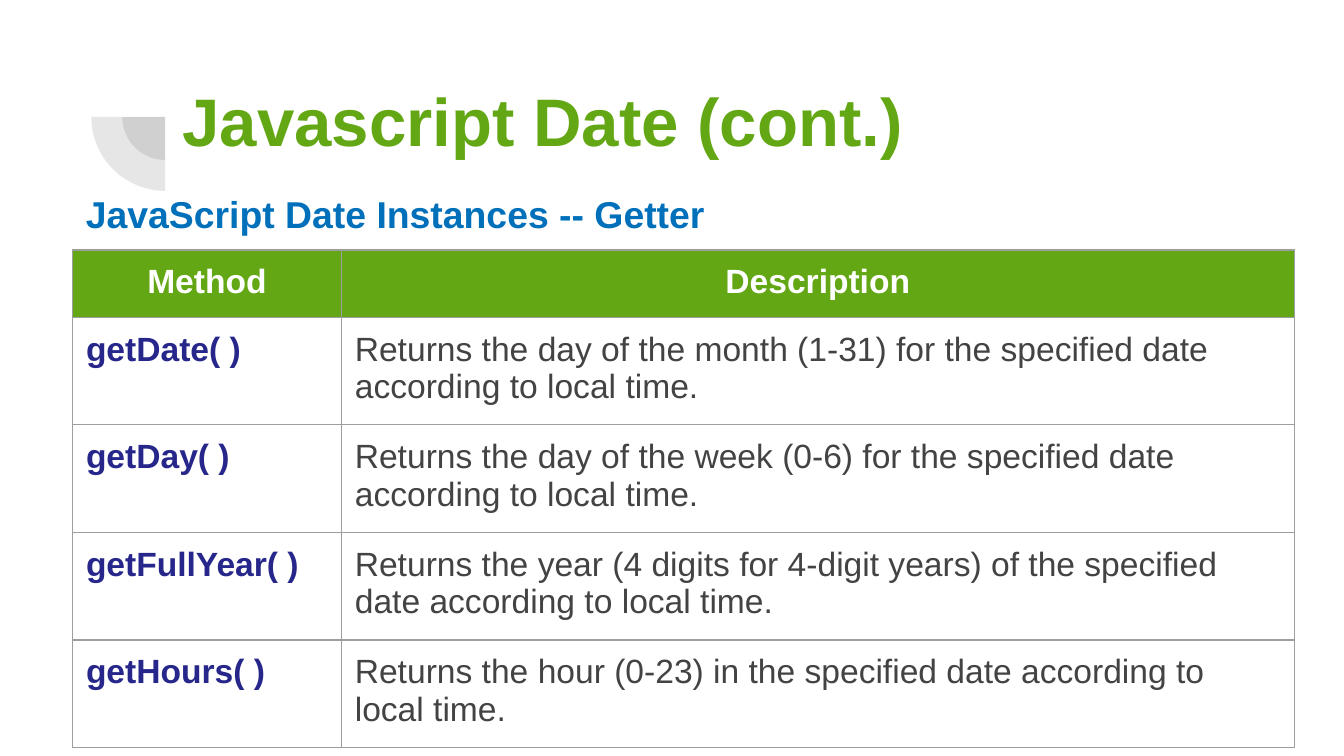
from lxml.etree import SubElement
from pptx import Presentation
from pptx.dml.color import RGBColor
from pptx.enum.shapes import MSO_SHAPE
from pptx.enum.text import PP_ALIGN
from pptx.oxml.ns import qn
from pptx.util import Inches, Pt

GREEN = "63A814"
BLUE = "0170BA"
NAVY = "27278B"
GRAY = "434343"
WHITE = "FFFFFF"
BORDER = "9E9E9E"

GETTERS = [
    ("getDate( )", "Returns the day of the month (1-31) for the specified date according to local time."),
    ("getDay( )", "Returns the day of the week (0-6) for the specified date according to local time."),
    ("getFullYear( )", "Returns the year (4 digits for 4-digit years) of the specified date according to local time."),
    ("getHours( )", "Returns the hour (0-23) in the specified date according to local time."),
]


def rgb(color):
    """Turn a hex string into a colour."""
    return RGBColor.from_string(color)


def write(frame, text, size=18, color=GRAY, bold=False, align=PP_ALIGN.LEFT, spacing=None):
    """Write one formatted paragraph into a text frame."""
    frame.word_wrap = True
    paragraph = frame.paragraphs[0]
    paragraph.alignment = align
    paragraph.line_spacing = spacing
    run = paragraph.add_run()
    run.text = text
    run.font.name = "Arial"
    run.font.size = Pt(size)
    run.font.bold = bold
    run.font.color.rgb = rgb(color)


def add_heading(slide, text, left, top, width, height, **style):
    """Add a text box with even insets."""
    frame = slide.shapes.add_textbox(Inches(left), Inches(top), Inches(width), Inches(height)).text_frame
    frame.margin_left = frame.margin_right = Inches(0.1)
    frame.margin_top = frame.margin_bottom = Inches(0.1)
    write(frame, text, **style)


def add_quarter(slide, center_x, center_y, radius):
    """Add a translucent lower-left quarter disc."""
    quarter = slide.shapes.add_shape(
        MSO_SHAPE.PIE, Inches(center_x - radius), Inches(center_y - radius),
        Inches(2 * radius), Inches(2 * radius))
    quarter.rotation = 270
    quarter.adjustments[0] = 108
    quarter.adjustments[1] = 162
    quarter.shadow.inherit = False
    quarter.line.fill.background()
    quarter.fill.solid()
    quarter.fill.fore_color.rgb = rgb("424242")
    color = quarter.fill._xPr.find(qn("a:solidFill"))[0]
    SubElement(color, qn("a:alpha"), val="13000")


def add_borders(cell):
    """Draw a thin line on all four sides of a cell."""
    properties = cell._tc.get_or_add_tcPr()
    for position, side in enumerate(("a:lnL", "a:lnR", "a:lnT", "a:lnB")):
        line = SubElement(properties, qn(side), w=str(Pt(0.75)))
        fill = SubElement(line, qn("a:solidFill"))
        SubElement(fill, qn("a:srgbClr"), val=BORDER)
        properties.insert(position, line)


def fill_cell(cell, text, background=None, **style):
    """Write, fill and outline one table cell."""
    cell.margin_left = cell.margin_right = Inches(0.1)
    cell.margin_top = cell.margin_bottom = Inches(0.1)
    if background:
        cell.fill.solid()
        cell.fill.fore_color.rgb = rgb(background)
    else:
        cell.fill.background()
    add_borders(cell)
    write(cell.text_frame, text, **style)


def add_getter_table(slide):
    """Add the table of getter methods."""
    widths = (2, 7.09)
    heights = (0.5, 0.68, 0.43, 0.43, 0.43)
    table = slide.shapes.add_table(
        len(heights), len(widths), Inches(0.54), Inches(1.86),
        Inches(sum(widths)), Inches(sum(heights))).table
    table.first_row = table.horz_banding = False
    for column, width in zip(table.columns, widths):
        column.width = Inches(width)
    for row, height in zip(table.rows, heights):
        row.height = Inches(height)
    for column, label in enumerate(("Method", "Description")):
        fill_cell(table.cell(0, column), label, background=GREEN,
                  color=WHITE, bold=True, align=PP_ALIGN.CENTER)
    for row, (method, description) in enumerate(GETTERS, start=1):
        fill_cell(table.cell(row, 0), method, color=NAVY, bold=True)
        fill_cell(table.cell(row, 1), description)


def main():
    """Build the slide and save it."""
    presentation = Presentation()
    presentation.slide_width = Inches(10)
    presentation.slide_height = Inches(10 * 9 / 16)
    slide = presentation.slides.add_slide(presentation.slide_layouts[6])
    for radius in (0.32, 0.55):
        add_quarter(slide, 1.23, 0.87, radius)
    add_heading(slide, "Javascript Date (cont.)", 1.26, 0.49, 7.73, 0.73,
                size=36, color=GREEN, bold=True)
    add_heading(slide, "JavaScript Date Instances -- Getter", 0.54, 1.27, 8.95, 4.24,
                size=20, color=BLUE, bold=True, spacing=1.15)
    add_getter_table(slide)
    presentation.save("out.pptx")


if __name__ == "__main__":
    main()
